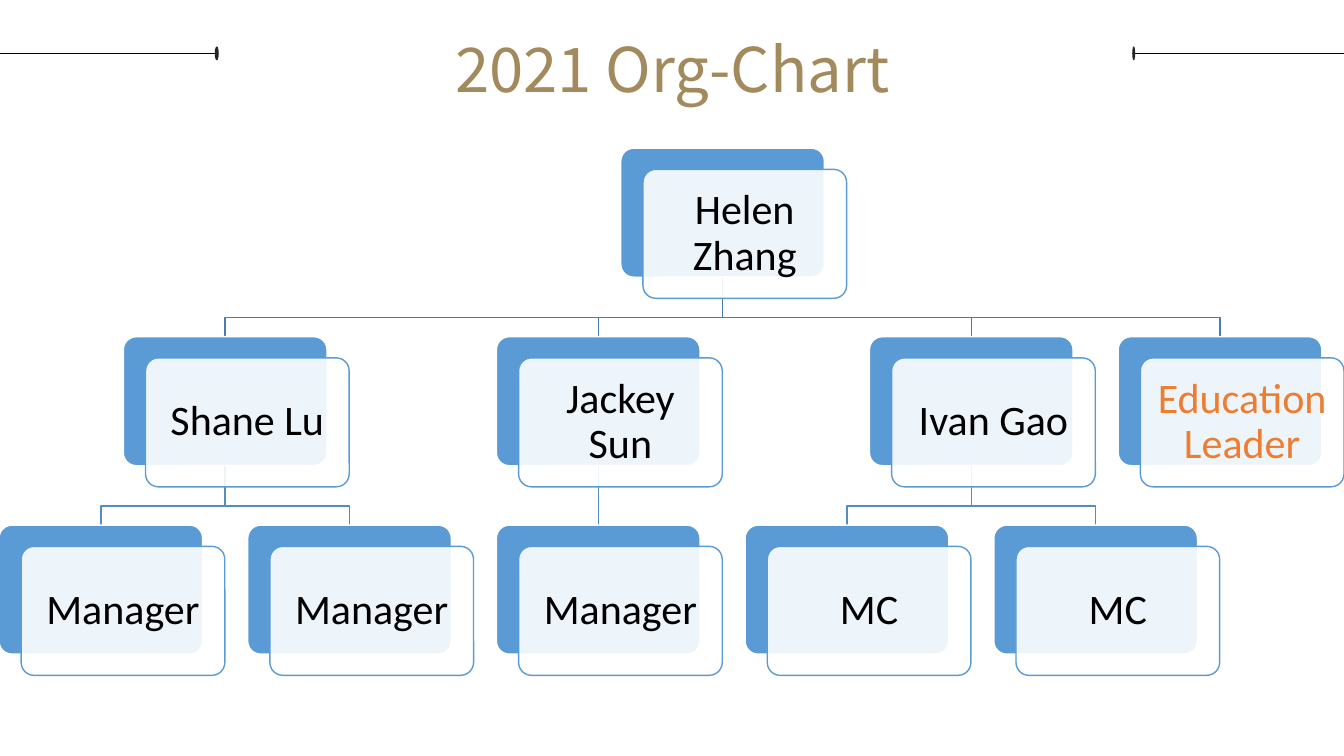
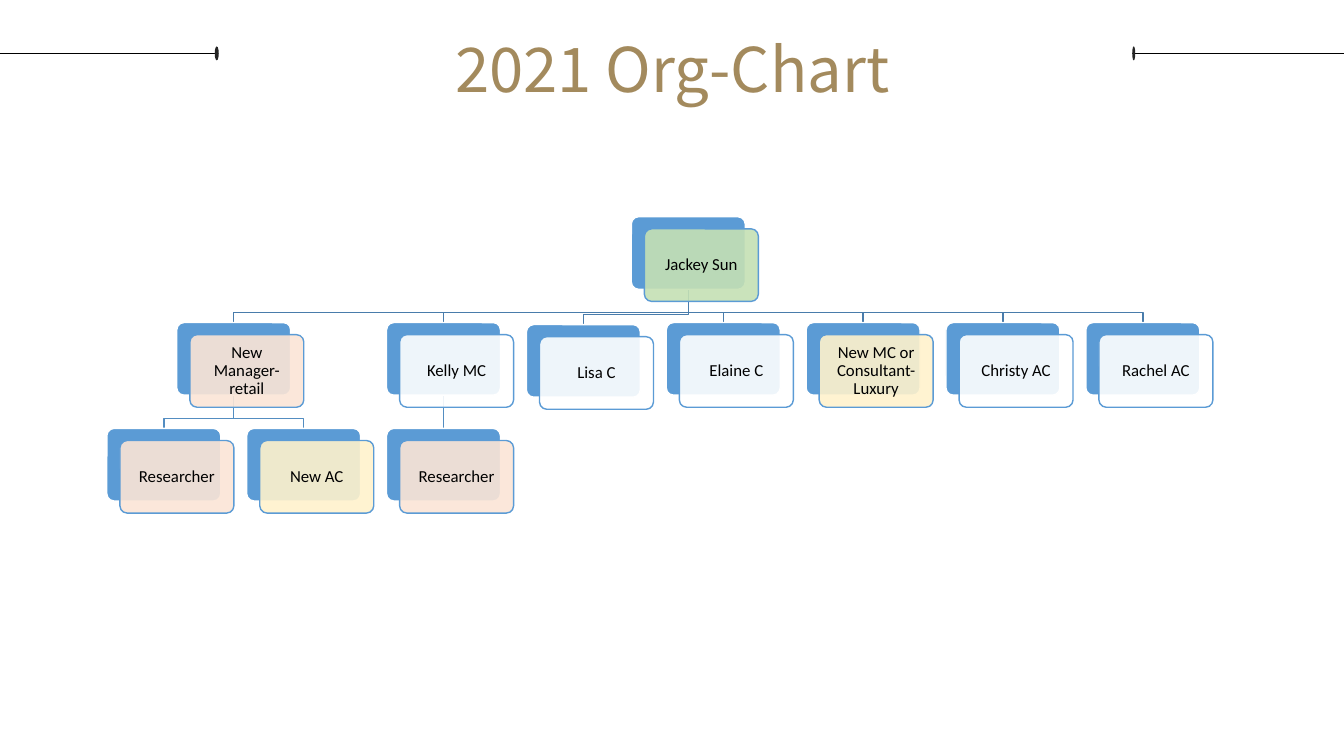
from dataclasses import dataclass

from lxml import etree
from pptx import Presentation
from pptx import util as u
from pptx.dml.color import RGBColor
from pptx.enum import shapes, text
from pptx.oxml.ns import qn


def rgb(value):
    return RGBColor.from_string(value)


@dataclass
class Person:
    name: str
    column: float
    reports: tuple = ()
    tint: str = "FFFFFF"
    color: str = "000000"
    drop: float = 0


@dataclass
class Grid:
    left: float
    top: float
    col_step: float
    row_step: float
    width: float
    height: float
    offset_x: float
    offset_y: float
    bend: float
    inset: float
    size: int

    def corner(self, person, row):
        return (self.left + person.column * self.col_step,
                self.top + row * self.row_step + person.drop)


class Deck:
    TITLE_FONT = "Noto Sans CJK SC"
    BODY_FONT = "Calibri"
    GOLD, BLUE, DOT = "A38A5D", "5B9BD5", "252525"
    LINKS = ("497CAB", "538DC1")

    def __init__(self):
        self.prs = Presentation()
        self.prs.slide_width = u.Inches(13.33)
        self.prs.slide_height = u.Inches(7.5)
        self.s = None

    def slide(self, title):
        self.s = self.prs.slides.add_slide(self.prs.slide_layouts[6])
        for start, end, dot, width in ((0, 2.14, 2.13, 0.04), (11.25, 13.33, 11.23, 0.03)):
            self.line(start, 0.53, end, 0.53, "000000", 0.75)
            self.shape(shapes.MSO_SHAPE.OVAL, dot, 0.46, width, 0.14, self.DOT)
        self.title(title)

    def title(self, words):
        tf = self.s.shapes.add_textbox(
            u.Inches(2.1), u.Inches(-0.11), u.Inches(9.14), u.Inches(1.08)).text_frame
        tf.word_wrap = True
        tf.auto_size = text.MSO_AUTO_SIZE.SHAPE_TO_FIT_TEXT
        self.label(tf, words, self.TITLE_FONT, 44, self.GOLD, 1.5)

    def label(self, tf, words, font, size, color, spacing):
        p = tf.paragraphs[0]
        p.text = words
        p.alignment = text.PP_ALIGN.CENTER
        p.line_spacing = spacing
        p.font.name = font
        p.font.size = u.Pt(size)
        p.font.color.rgb = rgb(color)

    def shape(self, kind, x, y, w, h, fill, line=None):
        sp = self.s.shapes.add_shape(kind, u.Inches(x), u.Inches(y), u.Inches(w), u.Inches(h))
        sp.shadow.inherit = False
        sp.fill.solid()
        sp.fill.fore_color.rgb = rgb(fill)
        if line:
            sp.line.color.rgb = rgb(line)
            sp.line.width = u.Pt(1)
        else:
            sp.line.fill.background()
        return sp

    def line(self, x1, y1, x2, y2, color, width):
        c = self.s.shapes.add_connector(
            shapes.MSO_CONNECTOR.STRAIGHT,
            u.Inches(x1), u.Inches(y1), u.Inches(x2), u.Inches(y2))
        c.line.color.rgb = rgb(color)
        c.line.width = u.Pt(width)
        etree.SubElement(c._element.spPr, qn("a:effectLst"))

    def elbow(self, x1, y1, x2, y2, bend, color):
        points = [(u.Inches(x), u.Inches(y))
                  for x, y in ((x1, y1), (x1, y2 - bend), (x2, y2 - bend), (x2, y2))]
        outline = self.s.shapes.build_freeform(*points[0])
        outline.add_line_segments(points[1:], close=False)
        sp = outline.convert_to_shape()
        sp.shadow.inherit = False
        sp.fill.background()
        sp.line.color.rgb = rgb(color)
        sp.line.width = u.Pt(1)

    def links(self, grid, boss, row=0):
        x1, y1 = grid.corner(boss, row)
        x1, y1 = x1 + grid.width / 2, y1 + grid.height
        for person in boss.reports:
            color = self.LINKS[row]
            x2, y2 = grid.corner(person, row + 1)
            x2 += grid.width / 2
            if person.column == boss.column:
                self.line(x1, y1, x2, y2, color, 1)
            else:
                self.elbow(x1, y1, x2, y2, grid.bend, color)
            self.links(grid, person, row + 1)

    def card(self, grid, person, row):
        x, y = grid.corner(person, row)
        back = self.shape(shapes.MSO_SHAPE.ROUNDED_RECTANGLE, x, y,
                          grid.width, grid.height, self.BLUE, "FFFFFF")
        front = self.shape(shapes.MSO_SHAPE.ROUNDED_RECTANGLE, x + grid.offset_x,
                           y + grid.offset_y, grid.width, grid.height, person.tint, self.BLUE)
        for sp in (back, front):
            sp.adjustments[0] = 0.1
        tint = front._element.spPr.find(qn("a:solidFill")).find(qn("a:srgbClr"))
        etree.SubElement(tint, qn("a:alpha"), val="90000")
        tf = front.text_frame
        tf.word_wrap = True
        tf.vertical_anchor = text.MSO_ANCHOR.MIDDLE
        tf.margin_left = tf.margin_right = u.Inches(grid.inset)
        tf.margin_top = tf.margin_bottom = u.Inches(grid.inset)
        self.label(tf, person.name, self.BODY_FONT, grid.size, person.color, 0.9)

    def cards(self, grid, person, row=0):
        self.card(grid, person, row)
        for report in person.reports:
            self.cards(grid, report, row + 1)

    def org_chart(self, grid, boss):
        self.links(grid, boss)
        self.cards(grid, boss)


PEACH, CREAM, GREEN, ORANGE = "FBE5D6", "FFF2CC", "C5E0B4", "ED7D31"
TITLE = "2021 Org-Chart"

COMPANY = Person("Helen Zhang", 2.5, (
    Person("Shane Lu", 0.5, (Person("Manager", 0), Person("Manager", 1))),
    Person("Jackey Sun", 2, (Person("Manager", 2),)),
    Person("Ivan Gao", 3.5, (Person("MC", 3), Person("MC", 4))),
    Person("Education Leader", 4.5, color=ORANGE),
))
TEAM = Person("Jackey Sun", 3.75, (
    Person("New Manager-retail", 0.5, (
        Person("Researcher", 0, tint=PEACH),
        Person("New AC", 1, tint=CREAM),
    ), PEACH),
    Person("Kelly MC", 2, (Person("Researcher", 2, tint=PEACH),)),
    Person("Lisa C", 3, drop=0.02),
    Person("Elaine C", 4),
    Person("New MC or Consultant-Luxury", 5, tint=CREAM),
    Person("Christy AC", 6),
    Person("Rachel AC", 7),
), GREEN)

COMPANY_GRID = Grid(left=-0.01, top=1.47, col_step=11.1 / 4.5, row_step=1.87,
                    width=2.02, height=1.28, offset_x=0.22, offset_y=0.21,
                    bend=0.19, inset=0.12, size=30)
TEAM_GRID = Grid(left=1.06, top=2.15, col_step=9.71 / 7, row_step=1.05,
                 width=1.13, height=0.72, offset_x=0.13, offset_y=0.12,
                 bend=0.1, inset=0.05, size=12)


def main():
    deck = Deck()
    for grid, boss in ((COMPANY_GRID, COMPANY), (TEAM_GRID, TEAM)):
        deck.slide(TITLE)
        deck.org_chart(grid, boss)
    deck.prs.save("out.pptx")


if __name__ == "__main__":
    main()
